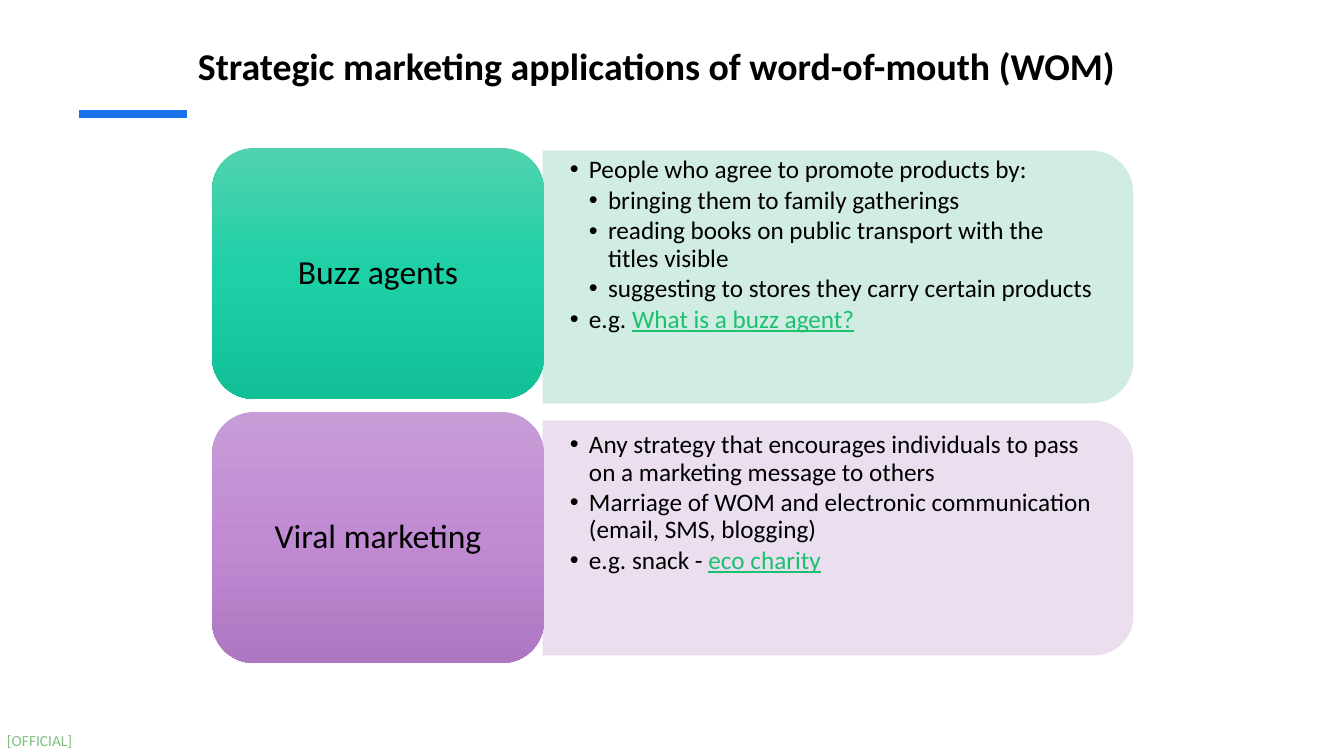
from copy import deepcopy

from lxml import etree
from pptx import Presentation
from pptx.dml.color import RGBColor
from pptx.enum.shapes import MSO_CONNECTOR, MSO_SHAPE
from pptx.enum.text import MSO_ANCHOR, MSO_AUTO_SIZE, PP_ALIGN
from pptx.oxml.ns import qn
from pptx.util import Pt

EMU_PER_PX = 914400 / 100.8
ROUND_RECT = MSO_SHAPE.ROUNDED_RECTANGLE
ROUND_TOP = MSO_SHAPE.ROUND_2_SAME_RECTANGLE
STRAIGHT = MSO_CONNECTOR.STRAIGHT
TOP, MIDDLE = MSO_ANCHOR.TOP, MSO_ANCHOR.MIDDLE
LEFT, CENTER = PP_ALIGN.LEFT, PP_ALIGN.CENTER
NO_FIT = MSO_AUTO_SIZE.NONE

PLAIN, LINK = False, True
TOPICS = [
    {
        "name": "Buzz agents",
        "gradient": ["50D2AE", "1DD0A6", "12C098"],
        "tint": "CDEBE0",
        "card_top": 148,
        "panel": (543, 151, 590, 252),
        "list": (543, 157, 577, 227),
        "points": [
            (0, [("People who agree to promote products by:", PLAIN)]),
            (1, [("bringing them to family gatherings", PLAIN)]),
            (1, [("reading books on public transport with the titles visible", PLAIN)]),
            (1, [("suggesting to stores they carry certain products", PLAIN)]),
            (0, [("e.g. ", PLAIN), ("What is a buzz agent?", LINK)]),
        ],
    },
    {
        "name": "Viral marketing",
        "gradient": ["C79CD7", "C18BD4", "AD77C1"],
        "tint": "E8DBEE",
        "card_top": 412,
        "panel": (543, 421, 590, 234),
        "list": (543, 432, 578, 211),
        "points": [
            (0, [("Any strategy that encourages individuals to pass on a marketing "
                  "message to others", PLAIN)]),
            (0, [("Marriage of WOM and electronic communication "
                  "(email, SMS, blogging)", PLAIN)]),
            (0, [("e.g. snack - ", PLAIN), ("eco charity", LINK)]),
        ],
    },
]


def px(length):
    return round(length * EMU_PER_PX)


def rgb(value):
    return RGBColor.from_string(value)


def set_opacity(fill_owner, percent):
    for color in fill_owner.iter(qn("a:srgbClr")):
        etree.SubElement(color, qn("a:alpha")).set("val", str(percent * 1000))


class SlideBuilder:
    font = "Calibri"
    ink = "000000"
    link = "1AC16E"
    indent = 19

    def __init__(self, slide):
        self.slide = slide
        self.shapes = slide.shapes

    def place(self, shape, left, top, width, height):
        shape.left, shape.top = px(left), px(top)
        shape.width, shape.height = px(width), px(height)

    def frame(self, shape, anchor, insets):
        frame = shape.text_frame
        frame.word_wrap = True
        frame.auto_size = NO_FIT
        frame.vertical_anchor = anchor
        (frame.margin_left, frame.margin_top,
         frame.margin_right, frame.margin_bottom) = map(px, insets)
        return frame

    def run(self, paragraph, words, size, color=None, bold=False, underline=False):
        run = paragraph.add_run()
        run.text = words
        run.font.name = self.font
        run.font.size = Pt(size)
        run.font.bold = bold
        run.font.underline = underline
        run.font.color.rgb = rgb(color or self.ink)
        return run

    def title(self, words, box):
        title = self.shapes.title
        self.place(title, *box)
        heading = self.frame(title, TOP, (10, 5, 10, 5)).paragraphs[0]
        heading.alignment = LEFT
        self.run(heading, words, 27, bold=True)

    def accent(self, left, right, y, color, weight):
        accent = self.shapes.add_connector(STRAIGHT, px(left), px(y), px(right), px(y))
        accent.line.color.rgb = rgb(color)
        accent.line.width = Pt(weight)
        etree.SubElement(accent.element.spPr, qn("a:effectLst"))

    def label(self, words, box, size, color, opacity):
        label = self.shapes.add_textbox(*map(px, box))
        paragraph = self.frame(label, TOP, (0, 0, 0, 0)).paragraphs[0]
        self.run(paragraph, words, size, color)
        set_opacity(label.element, opacity)

    def panel(self, box, tint):
        left, top, width, height = box
        shift = (width - height) / 2
        panel = self.shapes.add_shape(
            ROUND_TOP, px(left + shift), px(top - shift), px(height), px(width))
        panel.rotation = 90
        panel.shadow.inherit = False
        panel.fill.solid()
        panel.fill.fore_color.rgb = rgb(tint)
        panel.line.color.rgb = rgb(tint)
        panel.line.width = Pt(0.5)
        set_opacity(panel.element, 90)

    def card(self, words, box, colors):
        card = self.shapes.add_shape(ROUND_RECT, *map(px, box))
        card.shadow.inherit = False
        card.line.fill.background()
        card.fill.gradient()
        card.fill.gradient_angle = 270
        stops = card.element.find(".//" + qn("a:gsLst"))
        stops.append(deepcopy(stops[-1]))
        for index, (stop, color) in enumerate(zip(card.fill.gradient_stops, colors)):
            stop.position = index / (len(colors) - 1)
            stop.color.rgb = rgb(color)
        name = self.frame(card, MIDDLE, (22, 17, 22, 17)).paragraphs[0]
        name.alignment = CENTER
        name.line_spacing = 0.9
        self.run(name, words, 24)

    def bullets(self, body, box, points):
        self.place(body, *box)
        body.element.getparent().append(body.element)
        frame = self.frame(body, TOP, (27, 0, 27, 0))
        for index, (level, parts) in enumerate(points):
            point = frame.add_paragraph() if index else frame.paragraphs[0]
            properties = point._p.get_or_add_pPr()
            properties.set("marL", str(px(self.indent * (level + 1))))
            properties.set("indent", str(-px(self.indent)))
            etree.SubElement(properties, qn("a:buFont")).set("typeface", "Arial")
            etree.SubElement(properties, qn("a:buChar")).set("char", "•")
            point.level = level
            point.alignment = LEFT
            point.line_spacing = 0.9
            point.space_before = Pt(0)
            point.space_after = Pt(2.4)
            for words, is_link in parts:
                self.run(point, words, 18, self.link if is_link else self.ink,
                         underline=is_link)


def main():
    deck = Presentation()
    deck.slide_width, deck.slide_height = px(1344), px(756)
    slide = deck.slides.add_slide(deck.slide_layouts[3])
    builder = SlideBuilder(slide)
    bodies = list(slide.placeholders)[1:]

    builder.accent(79, 187, 114, "1973EB", 6)
    builder.label("[OFFICIAL]", (7, 731, 69, 18), 11, "008000", 50)
    builder.title("Strategic marketing applications of word-of-mouth (WOM)",
                  (188, 38, 1108, 76))
    for topic, body in zip(TOPICS, bodies):
        builder.panel(topic["panel"], topic["tint"])
        builder.bullets(body, topic["list"], topic["points"])
        builder.card(topic["name"], (212, topic["card_top"], 332, 251),
                     topic["gradient"])
    deck.save("out.pptx")


if __name__ == "__main__":
    main()
